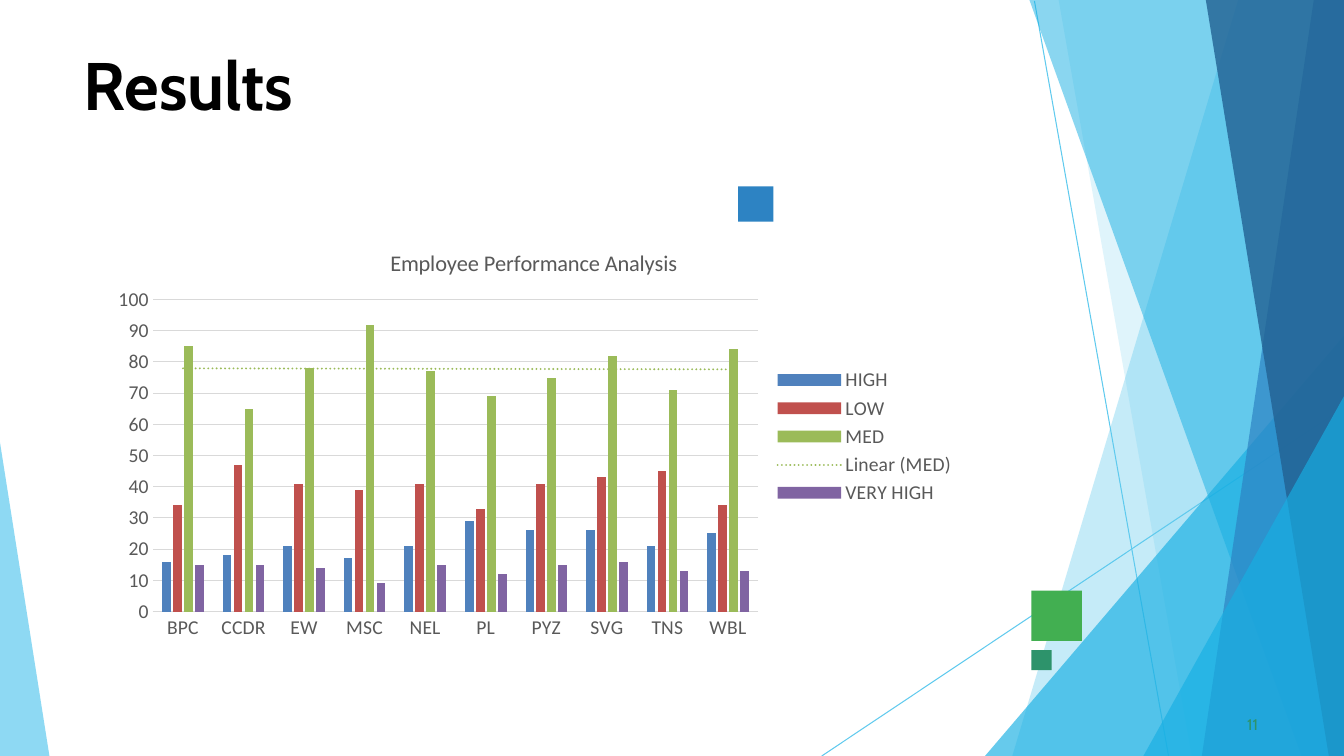
from typing import NamedTuple

from lxml import etree
from pptx import Presentation
from pptx.chart.data import CategoryChartData
from pptx.dml.color import RGBColor
from pptx.enum import chart as charts, shapes, text
from pptx.oxml import parse_xml
from pptx.oxml.ns import nsdecls, qn
from pptx.util import Inches, Pt

SKY = RGBColor(0x5F, 0xCA, 0xEE)
CYAN = RGBColor(0x17, 0xAF, 0xE3)
BLUE = RGBColor(0x2D, 0x83, 0xC3)
NAVY = RGBColor(0x22, 0x61, 0x92)
GREEN = RGBColor(0x42, 0xAF, 0x51)
TEAL = RGBColor(0x2D, 0x93, 0x6B)
BLACK = RGBColor(0, 0, 0)
GRAY = RGBColor(0x59, 0x59, 0x59)
GRID = RGBColor(0xD9, 0xD9, 0xD9)
WIDTH, HEIGHT = 13.33, 7.5

Point = tuple[float, float]


class Facet(NamedTuple):
    points: list[Point]
    color: RGBColor
    opacity: int


class Square(NamedTuple):
    left: float
    top: float
    size: float
    color: RGBColor


class Series(NamedTuple):
    name: str
    values: list[int]
    color: RGBColor


def right_band(top_left: float, bottom_left: float, color: RGBColor, opacity: int) -> Facet:
    """A full-height band that reaches the right edge."""
    return Facet([(WIDTH, 0), (top_left, 0), (bottom_left, HEIGHT), (WIDTH, HEIGHT)], color, opacity)


def right_corner(top: float, left: float) -> Facet:
    """A triangle in the bottom right corner."""
    return Facet([(WIDTH, top), (left, HEIGHT), (WIDTH, HEIGHT)], CYAN, 66)


RAYS = [((10.26, 0.01), (11.59, HEIGHT)), ((WIDTH, 4.04), (8.15, HEIGHT))]
FACETS = [
    right_band(12.28, 10.04, SKY, 36),
    right_band(10.5, 11.82, SKY, 20),
    right_corner(3.33, 9.77),
    right_band(10.21, 12.91, CYAN, 50),
    right_band(13.03, 11.92, BLUE, 70),
    right_band(11.96, 13.18, NAVY, 80),
    right_corner(3.93, 11.34),
    Facet([(0, 4.39), (0, HEIGHT), (0.49, HEIGHT)], SKY, 70),
]
SQUARES = [
    Square(10.23, 5.86, 0.5, GREEN),
    Square(7.32, 1.85, 0.35, BLUE),
    Square(10.23, 6.45, 0.2, TEAL),
]
UNITS = ["BPC", "CCDR", "EW", "MSC", "NEL", "PL", "PYZ", "SVG", "TNS", "WBL"]
RATINGS = [
    Series("HIGH", [16, 18, 21, 17, 21, 29, 26, 26, 21, 25], RGBColor(0x4F, 0x81, 0xBD)),
    Series("LOW", [34, 47, 41, 39, 41, 33, 41, 43, 45, 34], RGBColor(0xC0, 0x50, 0x4D)),
    Series("MED", [85, 65, 78, 92, 77, 69, 75, 82, 71, 84], RGBColor(0x9B, 0xBB, 0x59)),
    Series("VERY HIGH", [15, 15, 14, 9, 15, 12, 15, 16, 13, 13], RGBColor(0x80, 0x64, 0xA2)),
]


def draw_ray(page, start: Point, end: Point) -> None:
    ray = page.shapes.add_connector(
        shapes.MSO_CONNECTOR.STRAIGHT, *(Inches(v) for v in start + end))
    ray.line.color.rgb = SKY
    ray.line.width = Pt(0.75)
    etree.SubElement(ray.element.spPr, qn("a:effectLst"))


def paint(shape, color: RGBColor) -> None:
    shape.shadow.inherit = False
    shape.fill.solid()
    shape.fill.fore_color.rgb = color
    shape.line.fill.background()


def draw_facet(page, facet: Facet) -> None:
    points = [(Inches(x), Inches(y)) for x, y in facet.points]
    builder = page.shapes.build_freeform(*points[0])
    builder.add_line_segments(points[1:], close=True)
    shape = builder.convert_to_shape()
    paint(shape, facet.color)
    color = shape.element.spPr.find(f"{qn('a:solidFill')}/{qn('a:srgbClr')}")
    etree.SubElement(color, qn("a:alpha"), val=str(facet.opacity * 1000))


def draw_square(page, square: Square) -> None:
    shape = page.shapes.add_shape(
        shapes.MSO_SHAPE.RECTANGLE, Inches(square.left), Inches(square.top),
        Inches(square.size), Inches(square.size))
    paint(shape, square.color)


def write(box, words: str, size: float, color: RGBColor, bold: bool = False) -> None:
    frame = box.text_frame
    frame.word_wrap = True
    frame.auto_size = text.MSO_AUTO_SIZE.NONE
    frame.vertical_anchor = text.MSO_ANCHOR.TOP
    frame.margin_left = frame.margin_right = frame.margin_bottom = 0
    frame.margin_top = Inches(0.01)
    para = frame.paragraphs[0]
    para.text = words
    para.alignment = text.PP_ALIGN.LEFT
    style_font(para.font, size, color, "Cabin")
    para.font.bold = bold


def style_font(font, size: float, color: RGBColor, name: str = "Calibri") -> None:
    font.size = Pt(size)
    font.name = name
    font.color.rgb = color


def place(parent, **fractions: float) -> None:
    """Fix a chart part by fractions of the chart's size."""
    layout = parent.find(qn("c:layout"))
    if layout is None:
        layout = etree.Element(qn("c:layout"))
        anchor = parent.find(qn("c:tx"))
        if anchor is not None:
            anchor.addnext(layout)
        else:
            parent.insert(0, layout)
    manual = etree.SubElement(layout, qn("c:manualLayout"))
    if "w" in fractions:
        etree.SubElement(manual, qn("c:layoutTarget"), val="inner")
    for axis in "xy":
        etree.SubElement(manual, qn(f"c:{axis}Mode"), val="edge")
    for key, value in fractions.items():
        etree.SubElement(manual, qn(f"c:{key}"), val=str(value))


def add_trend(series, color: RGBColor) -> None:
    series._element.find(qn("c:cat")).addprevious(parse_xml(
        f'<c:trendline {nsdecls("c", "a")}><c:spPr><a:ln w="{Pt(1.5)}" cap="rnd">'
        f'<a:solidFill><a:srgbClr val="{color}"/></a:solidFill><a:prstDash val="sysDot"/>'
        '</a:ln></c:spPr><c:trendlineType val="linear"/>'
        '<c:dispRSqr val="0"/><c:dispEq val="0"/></c:trendline>'))


def draw_chart(page) -> None:
    data = CategoryChartData()
    data.categories = UNITS
    for rating in RATINGS:
        data.add_series(rating.name, rating.values)
    chart = page.shapes.add_chart(
        charts.XL_CHART_TYPE.COLUMN_CLUSTERED, Inches(1), Inches(2.21),
        Inches(8.58), Inches(4.24), data).chart
    style_font(chart.font, 14, GRAY)

    # Heading and legend
    chart.has_title = True
    heading = chart.chart_title
    heading.include_in_layout = False
    para = heading.text_frame.paragraphs[0]
    para.text = "Employee Performance Analysis"
    style_font(para.font, 16, GRAY)
    para.font.bold = False
    place(heading._element, x=0.33, y=0.05)
    chart.has_legend = True
    chart.legend.position = charts.XL_LEGEND_POSITION.RIGHT
    chart.legend.include_in_layout = False
    style_font(chart.legend.font, 14, GRAY)

    # Axes
    for axis in (chart.category_axis, chart.value_axis):
        axis.major_tick_mark = axis.minor_tick_mark = charts.XL_TICK_MARK.NONE
        style_font(axis.tick_labels.font, 14, GRAY)
    scale = chart.value_axis
    scale.minimum_scale, scale.maximum_scale, scale.major_unit = 0, 100, 10
    scale.format.line.fill.background()
    for part in (chart.category_axis, scale.major_gridlines):
        part.format.line.color.rgb = GRID
        part.format.line.width = Pt(0.75)

    # Columns
    plot = chart.plots[0]
    plot.vary_by_categories = False
    plot.gap_width, plot.overlap = 219, -27
    for series, rating in zip(plot.series, RATINGS):
        series.format.fill.solid()
        series.format.fill.fore_color.rgb = rating.color
        if rating.name == "MED":
            add_trend(series, rating.color)
    place(chart._chartSpace.chart.plotArea, x=0.06, y=0.18, w=0.7, h=0.73)


def main() -> None:
    deck = Presentation()
    deck.slide_width, deck.slide_height = Inches(WIDTH), Inches(HEIGHT)
    page = deck.slides.add_slide(deck.slide_layouts.get_by_name("Title Only"))

    # Backdrop
    for start, end in RAYS:
        draw_ray(page, start, end)
    for facet in FACETS:
        draw_facet(page, facet)
    for square in SQUARES:
        draw_square(page, square)

    # Title and page number
    title = page.shapes.title
    title.left, title.top = Inches(0.83), Inches(0.42)
    title.width, title.height = Inches(2.67), Inches(0.83)
    write(title, "Results", 48, BLACK, bold=True)
    number = page.shapes.add_textbox(Inches(12.37), Inches(7.08), Inches(0.21), Inches(0.21))
    write(number, "11", 11, TEAL)

    draw_chart(page)
    deck.save("out.pptx")


if __name__ == "__main__":
    main()
